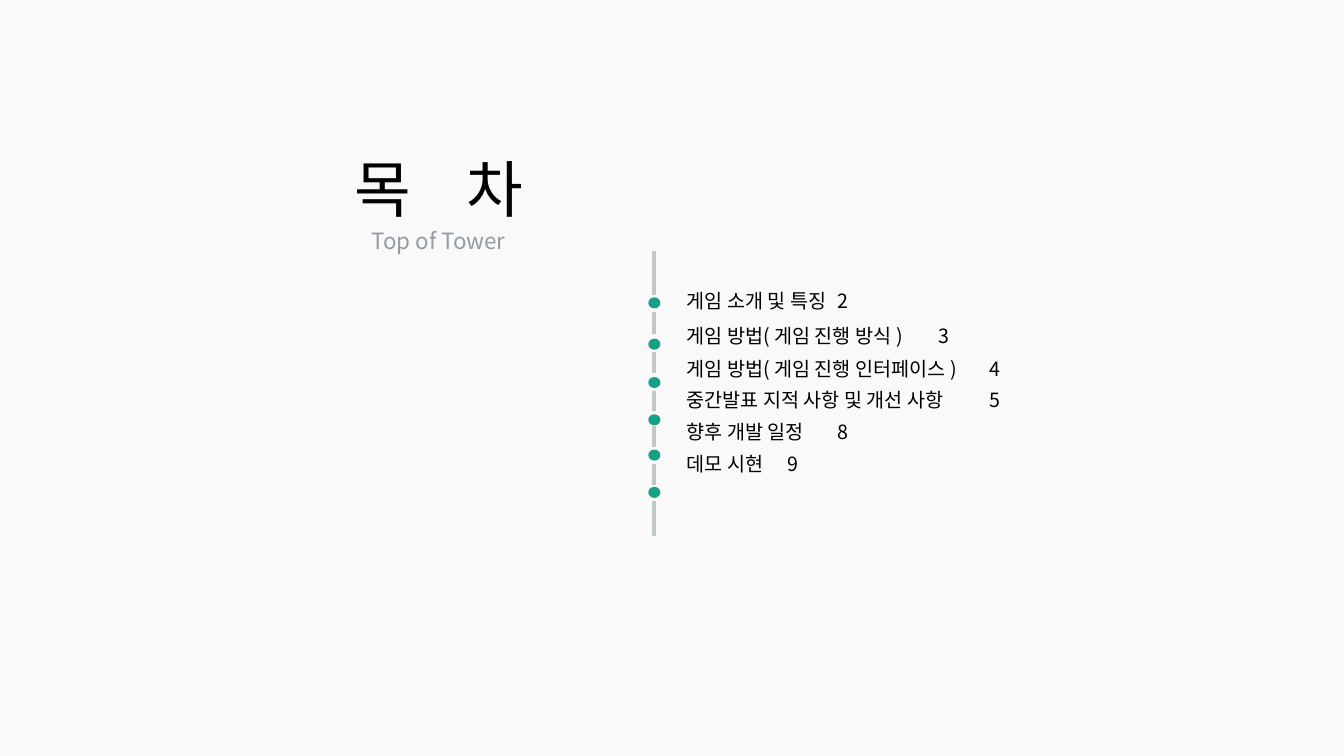
from dataclasses import dataclass

from lxml import etree
from pptx import Presentation
from pptx.dml.color import RGBColor
from pptx.enum.shapes import MSO_CONNECTOR, MSO_SHAPE
from pptx.enum.text import MSO_ANCHOR, MSO_AUTO_SIZE, PP_ALIGN
from pptx.oxml.ns import qn
from pptx.util import Inches, Pt

STRAIGHT = MSO_CONNECTOR.STRAIGHT
OVAL = MSO_SHAPE.OVAL
TOP = MSO_ANCHOR.TOP
NO_AUTOFIT = MSO_AUTO_SIZE.NONE
LEFT, CENTER = PP_ALIGN.LEFT, PP_ALIGN.CENTER


@dataclass(frozen=True)
class Theme:
    font: str = "Noto Sans CJK KR"
    background: str = "F9F9F9"
    ink: str = "000000"
    muted: str = "939BA5"
    rail: str = "BFC7C7"
    accent: str = "16A085"
    title_size: float = 44
    subtitle_size: float = 16
    entry_size: float = 14
    rail_width: float = 3


THEME = Theme()
LINE_HEIGHT = 0.28

ENTRIES = [
    ("게임 소개 및 특징", 2, 2.82),
    ("게임 방법( 게임 진행 방식 )", 3, 3.21),
    ("게임 방법( 게임 진행 인터페이스 )", 4, 3.58),
    ("중간발표 지적 사항 및 개선 사항", 5, 3.94),
    ("향후 개발 일정", 8, 4.3),
    ("데모 시현", 9, 4.67),
]
RAIL_STOPS = [
    (0.44, 0.46, 0.61),
    (0.82, 0.87, 1.0),
    (1.21, 1.25, 1.39),
    (1.59, 1.62, 1.74),
    (1.94, 1.97, 2.11),
    (2.32, 2.34, 2.48),
]


def rgb(value):
    return RGBColor.from_string(value)


def place(shape, left, top, width, height):
    shape.left, shape.top = Inches(left), Inches(top)
    shape.width, shape.height = Inches(width), Inches(height)
    frame = shape.text_frame
    frame.word_wrap = True
    frame.auto_size = NO_AUTOFIT
    frame.vertical_anchor = TOP
    return frame


def add_text(paragraph, text, *, size, color=THEME.ink, align=LEFT, tracking=0):
    paragraph.alignment = align
    run = paragraph.add_run()
    run.text = text
    font = run.font
    font.name, font.size, font.color.rgb = THEME.font, Pt(size), rgb(color)
    properties = run._r.get_or_add_rPr()
    if tracking:
        properties.set("spc", str(tracking))
    east_asian = etree.SubElement(properties, qn("a:ea"))
    east_asian.set("typeface", THEME.font)


def set_page_tab(paragraph, position):
    properties = paragraph._p.get_or_add_pPr()
    properties.set("marL", "0")
    properties.set("indent", "0")
    etree.SubElement(properties, qn("a:buNone"))
    tabs = etree.SubElement(properties, qn("a:tabLst"))
    etree.SubElement(tabs, qn("a:tab"), pos=str(Inches(position)), algn="l")


def build_heading(slide, left, top, width):
    title = place(slide.shapes.title, left + 0.4, top, width - 0.8, 0.84).paragraphs[0]
    for text, tracking in (("목", 0), (" ", 2960), ("차", 0)):
        add_text(title, text, size=THEME.title_size, align=CENTER, tracking=tracking)
    box = slide.shapes.add_textbox(0, 0, 0, 0)
    subtitle = place(box, left, top + 0.75, width, 0.37).paragraphs[0]
    add_text(subtitle, "Top of Tower", size=THEME.subtitle_size,
             color=THEME.muted, align=CENTER)


def build_entries(slide, left, top, width, height):
    frame = place(slide.placeholders[1], left, top, width, height)
    previous_top = top - LINE_HEIGHT
    for index, (text, page, row_top) in enumerate(ENTRIES):
        entry = frame.add_paragraph() if index else frame.paragraphs[0]
        entry.line_spacing = 1.0
        entry.space_before = Inches(row_top - previous_top - LINE_HEIGHT)
        entry.space_after = Pt(0)
        set_page_tab(entry, 5)
        add_text(entry, f"{text}\t{page}", size=THEME.entry_size)
        previous_top = row_top


def add_rail_segment(slide, x, start, end):
    segment = slide.shapes.add_connector(
        STRAIGHT, Inches(x), Inches(start), Inches(x), Inches(end))
    segment.line.color.rgb = rgb(THEME.rail)
    segment.line.width = Pt(THEME.rail_width)
    etree.SubElement(segment._element.spPr, qn("a:effectLst"))


def build_rail(slide, left, top, width, height):
    start = 0
    for gap_start, dot_top, gap_end in RAIL_STOPS:
        add_rail_segment(slide, left + width / 2, top + start, top + gap_start)
        dot = slide.shapes.add_shape(
            OVAL, Inches(left), Inches(top + dot_top), Inches(width), Inches(0.11))
        dot.shadow.inherit = False
        dot.fill.solid()
        dot.fill.fore_color.rgb = rgb(THEME.accent)
        dot.line.fill.background()
        start = gap_end
    add_rail_segment(slide, left + width / 2, top + start, top + height)


def build_contents_slide(deck):
    slide = deck.slides.add_slide(deck.slide_layouts[1])
    slide.background.fill.solid()
    slide.background.fill.fore_color.rgb = rgb(THEME.background)
    build_heading(slide, 2.42, 1.45, 3.86)
    build_entries(slide, 6.71, 2.82, 5.45, 2.19)
    build_rail(slide, 6.43, 2.49, 0.12, 2.83)


def main():
    deck = Presentation()
    deck.slide_width, deck.slide_height = Inches(13.33), Inches(7.5)
    build_contents_slide(deck)
    deck.save("out.pptx")


if __name__ == "__main__":
    main()
